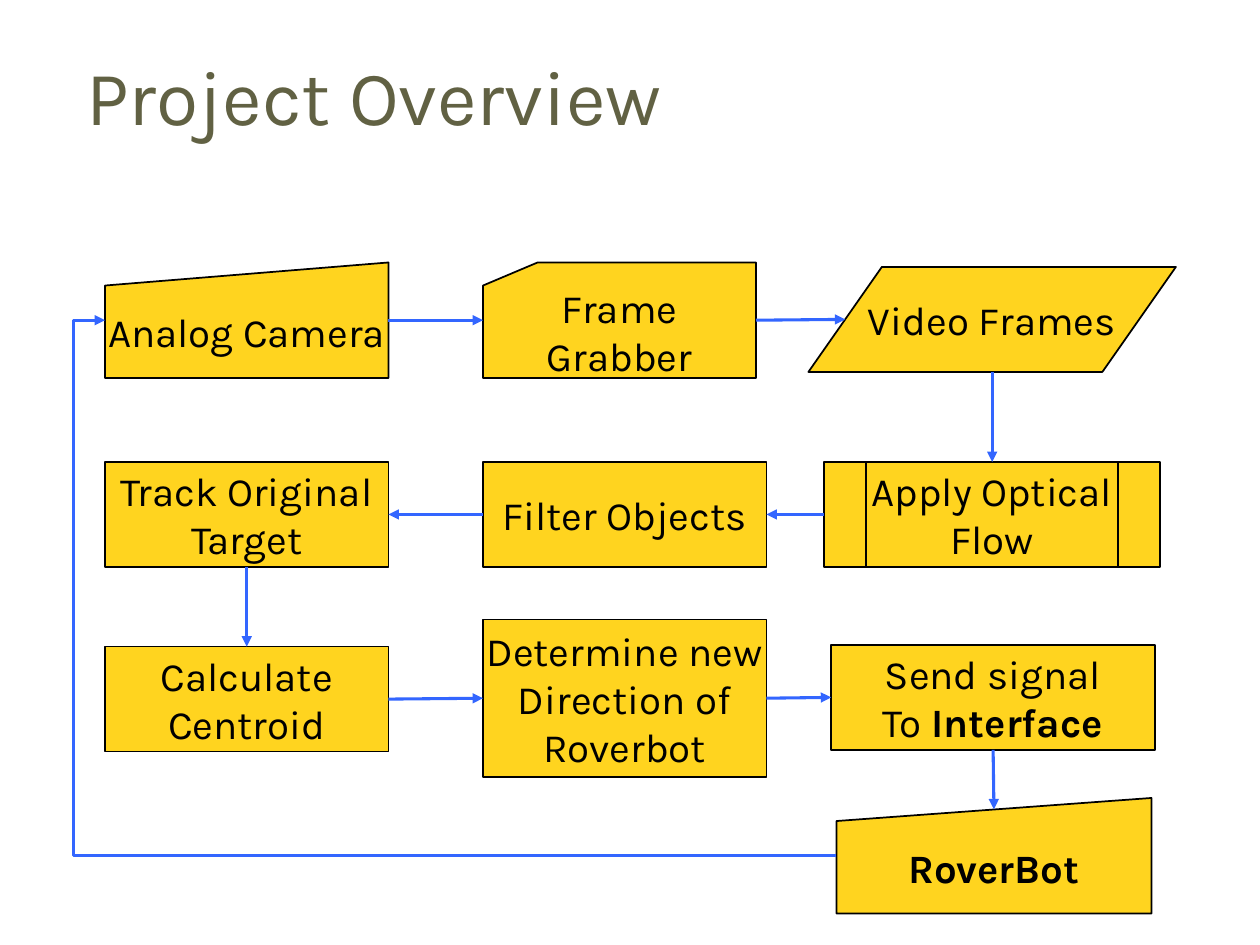
from lxml.etree import SubElement
from pptx import Presentation
from pptx.dml.color import RGBColor
from pptx.enum.shapes import MSO_CONNECTOR, MSO_SHAPE
from pptx.enum.text import MSO_ANCHOR, MSO_AUTO_SIZE, PP_ALIGN
from pptx.oxml.ns import qn
from pptx.util import Pt

GOLD = RGBColor(0xFF, 0xD4, 0x1F)
BLUE = RGBColor(0x33, 0x66, 0xFF)
OLIVE = RGBColor(0x61, 0x61, 0x43)
BLACK = RGBColor(0, 0, 0)
FONT = "Karla"
TOP, LEFT, BOTTOM, RIGHT = range(4)

# Columns and rows of the flowchart
LEFT_X, MIDDLE_X = 60, 276
ROW_1, ROW_2 = 150, 264
BOX_WIDTH, BOX_HEIGHT, TALL_HEIGHT = 162, 60, 66


def add_title(slide, text):
    title = slide.shapes.title
    title.left, title.top, title.width, title.height = Pt(42), Pt(18), Pt(570), Pt(66)
    frame = title.text_frame
    frame.text = text
    frame.auto_size = MSO_AUTO_SIZE.NONE
    frame.vertical_anchor = MSO_ANCHOR.BOTTOM
    paragraph = frame.paragraphs[0]
    paragraph.alignment = PP_ALIGN.LEFT
    paragraph.font.name = FONT
    paragraph.font.size = Pt(44)
    paragraph.font.color.rgb = OLIVE


def add_step(slide, kind, left, top, width, height, lines, bold_word=None):
    """Add a flowchart step with one paragraph for each line."""
    shape = slide.shapes.add_shape(kind, Pt(left), Pt(top), Pt(width), Pt(height))
    shape.shadow.inherit = False
    shape.fill.solid()
    shape.fill.fore_color.rgb = GOLD
    shape.line.color.rgb = BLACK
    shape.line.width = Pt(1)
    frame = shape.text_frame
    frame.word_wrap = False
    frame.vertical_anchor = MSO_ANCHOR.MIDDLE
    for index, line in enumerate(lines):
        paragraph = frame.add_paragraph() if index else frame.paragraphs[0]
        paragraph.alignment = PP_ALIGN.CENTER
        paragraph.font.name = FONT
        paragraph.font.size = Pt(23)
        paragraph.font.color.rgb = BLACK
        if bold_word and line.endswith(bold_word):
            plain = line.removesuffix(bold_word)
            if plain:
                paragraph.add_run().text = plain
            run = paragraph.add_run()
            run.text = bold_word
            run.font.bold = True
        else:
            paragraph.add_run().text = line
    return shape


def add_arrow(slide, start, end, kind=MSO_CONNECTOR.STRAIGHT):
    """Join two ends, each a (shape, side) pair or a free (x, y) point."""
    free_ends = [Pt(value) if isinstance(value, (int, float)) else 0
                 for value in (*start, *end)]
    connector = slide.shapes.add_connector(kind, *free_ends)
    if not isinstance(start[0], (int, float)):
        connector.begin_connect(*start)
    if not isinstance(end[0], (int, float)):
        connector.end_connect(*end)
    connector.line.color.rgb = BLUE
    connector.line.width = Pt(1.75)
    line = connector.line._get_or_add_ln()
    SubElement(line, qn("a:tailEnd"), type="triangle")
    SubElement(connector._element.spPr, qn("a:effectLst"))
    return connector


def set_bend(connector, ratio):
    """Place the middle segment of an elbow, as a share of its width."""
    guides = connector._element.spPr.find(qn("a:prstGeom")).get_or_add_avLst()
    SubElement(guides, qn("a:gd"), name="adj1", fmla=f"val {round(ratio * 100000)}")


def main():
    presentation = Presentation()
    presentation.slide_width, presentation.slide_height = Pt(720), Pt(540)
    slide = presentation.slides.add_slide(presentation.slide_layouts[5])
    add_title(slide, "Project Overview")

    # First row: capture
    camera = add_step(slide, MSO_SHAPE.FLOWCHART_MANUAL_INPUT, LEFT_X, ROW_1,
                      BOX_WIDTH, TALL_HEIGHT, ["Analog Camera"])
    grabber = add_step(slide, MSO_SHAPE.FLOWCHART_CARD, MIDDLE_X, ROW_1,
                       156, TALL_HEIGHT, ["Frame", "Grabber"])
    add_step(slide, MSO_SHAPE.FLOWCHART_DATA, 462, 152.5,
             210, BOX_HEIGHT, ["Video Frames"])

    # Second row: tracking
    track = add_step(slide, MSO_SHAPE.RECTANGLE, LEFT_X, ROW_2,
                     BOX_WIDTH, BOX_HEIGHT, ["Track Original", "Target"])
    objects = add_step(slide, MSO_SHAPE.RECTANGLE, MIDDLE_X, ROW_2,
                       BOX_WIDTH, BOX_HEIGHT, ["Filter Objects"])
    flow = add_step(slide, MSO_SHAPE.FLOWCHART_PREDEFINED_PROCESS, 471, ROW_2,
                    192, BOX_HEIGHT, ["Apply Optical", "Flow"])

    # Third row: steering
    centroid = add_step(slide, MSO_SHAPE.RECTANGLE, LEFT_X, 369.5,
                        BOX_WIDTH, BOX_HEIGHT, ["Calculate", "Centroid"])
    direction = add_step(slide, MSO_SHAPE.RECTANGLE, MIDDLE_X, 354, BOX_WIDTH, 90,
                         ["Determine new", "Direction of", "Roverbot"])
    signal = add_step(slide, MSO_SHAPE.RECTANGLE, 475, 368.5, 185, BOX_HEIGHT,
                      ["Send signal", "To Interface"], "Interface")
    rover = add_step(slide, MSO_SHAPE.FLOWCHART_MANUAL_INPUT, 478, 456,
                     180, TALL_HEIGHT, ["RoverBot"], "RoverBot")

    # Arrows from step to step; slanted sides take free points
    for start, end in (
        ((camera, RIGHT), (grabber, LEFT)),
        ((grabber, RIGHT), (483, 182.5)),
        ((567, 212.5), (flow, TOP)),
        ((flow, LEFT), (objects, RIGHT)),
        ((objects, LEFT), (track, RIGHT)),
        ((track, BOTTOM), (centroid, TOP)),
        ((centroid, RIGHT), (direction, LEFT)),
        ((direction, RIGHT), (signal, LEFT)),
        ((signal, BOTTOM), (568, 462.5)),
    ):
        add_arrow(slide, start, end)

    # Feedback loop from the robot to the camera
    loop = add_arrow(slide, (rover, LEFT), (camera, LEFT), MSO_CONNECTOR.ELBOW)
    set_bend(loop, 1.043)

    presentation.save("out.pptx")


if __name__ == "__main__":
    main()
